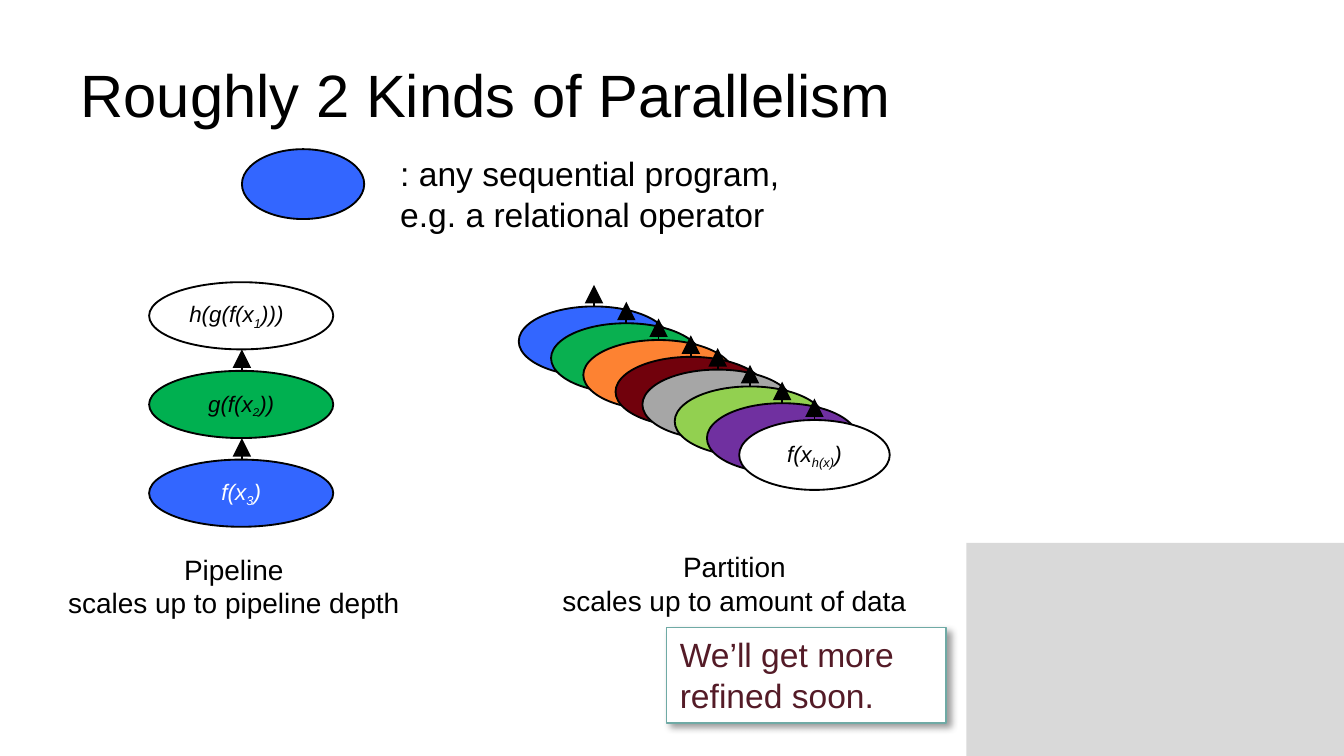
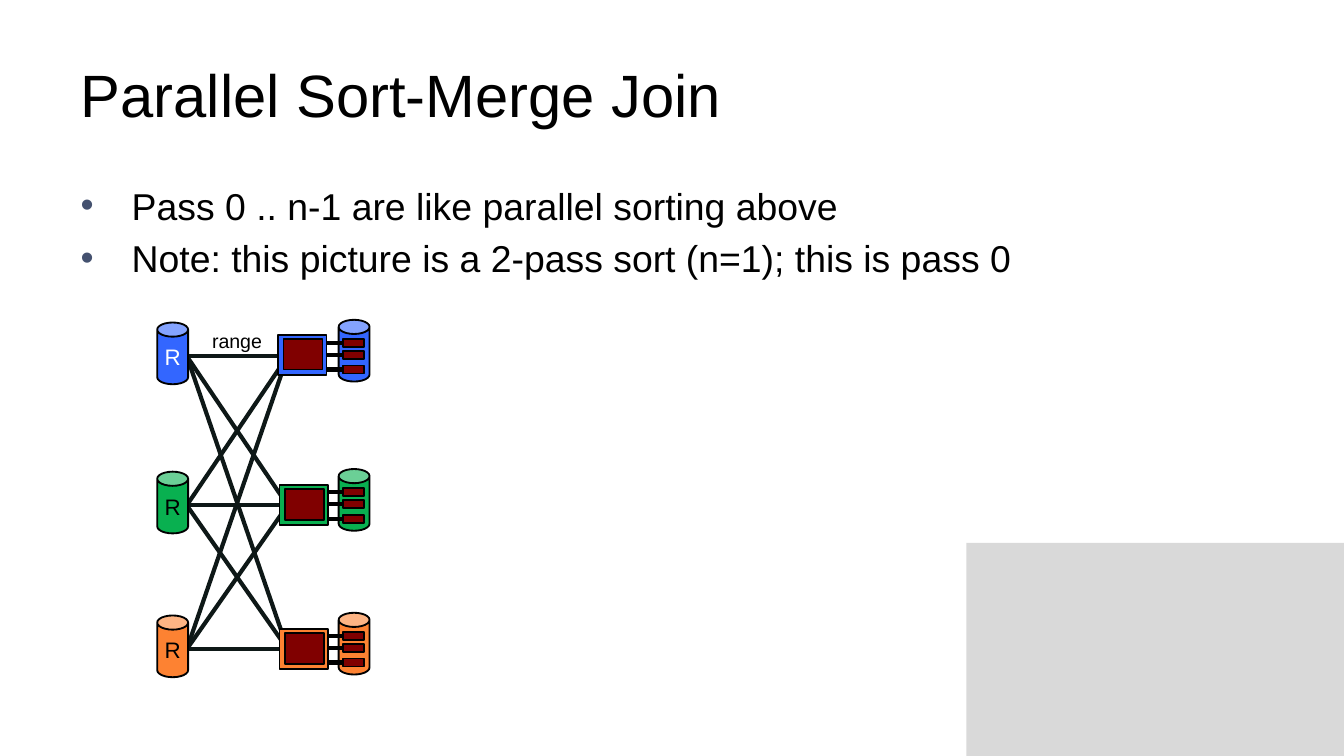
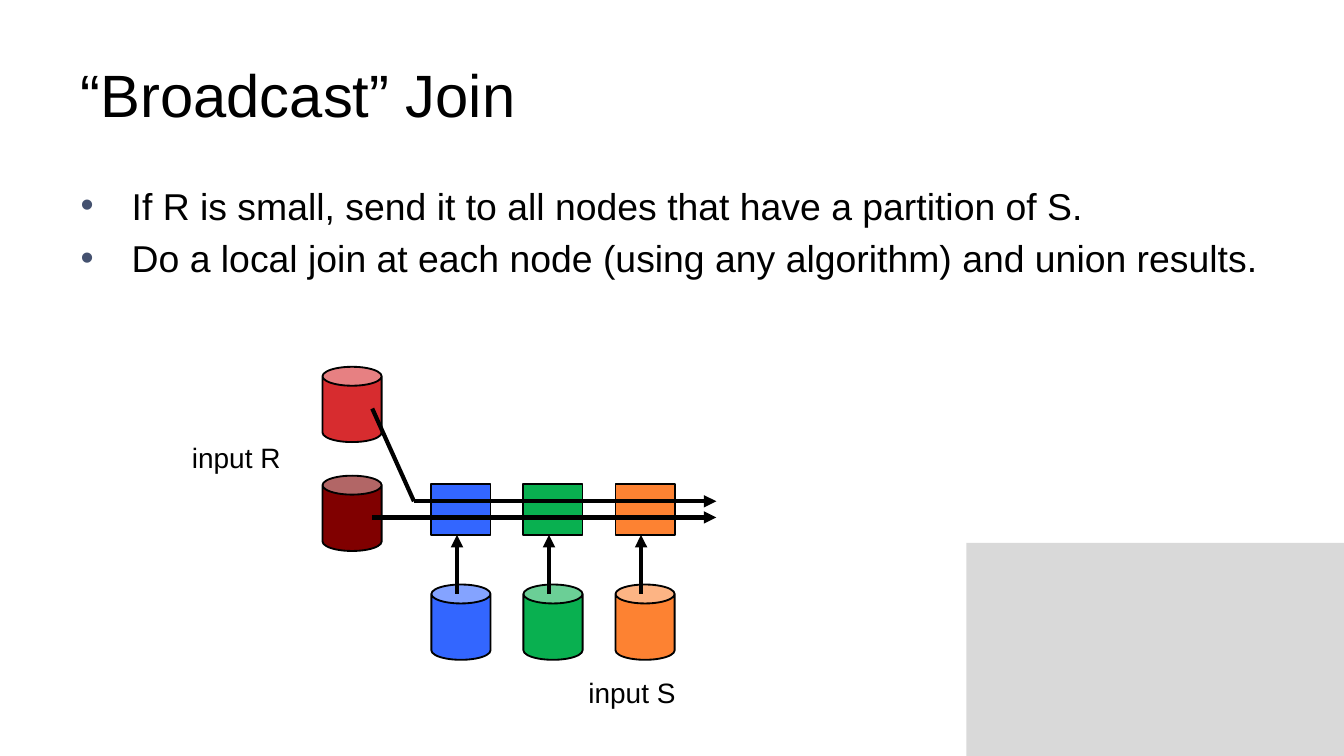
import dataclasses
import itertools
import typing

import lxml.etree
import pptx
import pptx.dml.color
import pptx.enum.shapes
import pptx.enum.text
import pptx.oxml.ns
import pptx.presentation
import pptx.shapes.autoshape
import pptx.shapes.shapetree
import pptx.slide
import pptx.text.text
import pptx.util

Inches = pptx.util.Inches
Pt = pptx.util.Pt
qn = pptx.oxml.ns.qn
SHAPE = pptx.enum.shapes.MSO_SHAPE
ALIGN = pptx.enum.text.PP_ALIGN
ANCHOR = pptx.enum.text.MSO_ANCHOR
AUTO_SIZE = pptx.enum.text.MSO_AUTO_SIZE
Canvas = typing.Union[
    pptx.shapes.shapetree.SlideShapes, pptx.shapes.shapetree.GroupShapes
]

FONT = "Arial"
BLACK = "000000"
WHITE = "FFFFFF"
BLUE = "3366FF"
GREEN = "09B050"
ORANGE = "FD8232"
MAROON = "800000"
BULLET_COLOR = "44516F"
NETWORK_COLOR = "0E1817"

TITLE_ONLY, TITLE_AND_BODY = 5, 1


@dataclasses.dataclass(frozen=True)
class Box:
    left: float
    top: float
    width: float
    height: float

    def lengths(self) -> list[pptx.util.Length]:
        return [Inches(value) for value in dataclasses.astuple(self)]


@dataclasses.dataclass(frozen=True)
class Run:
    text: str
    size: float
    color: str = BLACK
    italic: bool = False
    subscript: bool = False


@dataclasses.dataclass(frozen=True)
class Stage:
    top: float
    fill: str
    head: str
    index: str
    close: str
    index_size: float = 12
    color: str = BLACK
    align: ALIGN = ALIGN.CENTER


@dataclasses.dataclass(frozen=True)
class Node:
    wire: float
    fill: str
    label_color: str
    memory_left: float
    memory_top: float


STAGES = [
    Stage(2.76, "00B050", "g(f(x", "2", "))", index_size=10.5),
    Stage(2.1, WHITE, "h(g(f(x", "1", ")))", align=ALIGN.LEFT),
    Stage(3.42, BLUE, "f(x", "3", ")", color=WHITE),
]
PARTITION_ROWS = [
    (3.86, 2.28, [BLUE, GREEN, ORANGE, "71010C"]),
    (4.78, 2.75, ["A6A6A6", "92D050", "7030A0", WHITE]),
]
NODES = [
    Node(2.65, BLUE, WHITE, 2.07, 2.49),
    Node(3.76, GREEN, BLACK, 2.08, 3.61),
    Node(4.83, ORANGE, BLACK, 2.08, 4.68),
]


def rgb(color: str) -> pptx.dml.color.RGBColor:
    return pptx.dml.color.RGBColor.from_string(color)


def add_runs(paragraph: pptx.text.text._Paragraph, runs: list[Run]) -> None:
    for part in runs:
        if part.text == "\n":
            paragraph.add_line_break()
            continue
        run = paragraph.add_run()
        run.text = part.text
        run.font.name = FONT
        run.font.size = Pt(part.size)
        run.font.color.rgb = rgb(part.color)
        if part.italic:
            run.font.italic = True
        if part.subscript:
            run._r.get_or_add_rPr().set("baseline", "-25000")


def write(
    frame: pptx.text.text.TextFrame, paragraphs: list[list[Run]], align: ALIGN
) -> None:
    for position, runs in enumerate(paragraphs):
        paragraph = frame.add_paragraph() if position else frame.paragraphs[0]
        paragraph.alignment = align
        add_runs(paragraph, runs)


def add_solid(
    canvas: Canvas,
    kind: SHAPE,
    box: Box,
    fill: str,
    line: typing.Optional[str] = BLACK,
    line_width: float = 1,
) -> pptx.shapes.autoshape.Shape:
    solid = canvas.add_shape(kind, *box.lengths())
    solid.shadow.inherit = False
    solid.fill.solid()
    solid.fill.fore_color.rgb = rgb(fill)
    if line is None:
        solid.line.fill.background()
    else:
        solid.line.color.rgb = rgb(line)
        solid.line.width = Pt(line_width)
    return solid


def add_disk(
    canvas: Canvas, box: Box, fill: str, curve: float
) -> pptx.shapes.autoshape.Shape:
    disk = add_solid(canvas, SHAPE.CAN, box, fill)
    disk.adjustments[0] = curve
    return disk


def add_line(
    canvas: Canvas,
    start: tuple[float, float],
    end: tuple[float, float],
    width: float = 2.25,
    color: str = BLACK,
    arrow: typing.Optional[str] = None,
) -> None:
    connector = canvas.add_connector(
        pptx.enum.shapes.MSO_CONNECTOR.STRAIGHT,
        *(Inches(value) for value in (*start, *end)),
    )
    connector.line.color.rgb = rgb(color)
    connector.line.width = Pt(width)
    if arrow:
        lxml.etree.SubElement(
            connector.line._get_or_add_ln(),
            qn("a:tailEnd"),
            {"type": "triangle", "w": arrow, "len": arrow},
        )
    lxml.etree.SubElement(connector.element.spPr, qn("a:effectLst"))


def add_label(
    canvas: Canvas,
    box: Box,
    paragraphs: list[list[Run]],
    align: ALIGN = ALIGN.LEFT,
) -> None:
    label = canvas.add_textbox(*box.lengths())
    label.text_frame.word_wrap = False
    label.text_frame.auto_size = AUTO_SIZE.SHAPE_TO_FIT_TEXT
    write(label.text_frame, paragraphs, align)


def add_formula(
    oval: pptx.shapes.autoshape.Shape, runs: list[Run], align: ALIGN = ALIGN.CENTER
) -> None:
    oval.text_frame.vertical_anchor = ANCHOR.MIDDLE
    write(oval.text_frame, [runs], align)


def place(holder: pptx.shapes.autoshape.Shape, box: Box) -> None:
    holder.left, holder.top, holder.width, holder.height = box.lengths()
    holder.text_frame.auto_size = AUTO_SIZE.NONE


def add_slide(
    deck: pptx.presentation.Presentation, title: str, points: list[str]
) -> pptx.slide.Slide:
    slide = deck.slides.add_slide(
        deck.slide_layouts[TITLE_AND_BODY if points else TITLE_ONLY]
    )
    heading = slide.shapes.title
    place(heading, Box(0.5, 0.23, 9, 0.94))
    heading.text_frame.vertical_anchor = ANCHOR.MIDDLE
    write(heading.text_frame, [[Run(title, 32)]], ALIGN.LEFT)
    if points:
        body = slide.placeholders[1]
        place(body, Box(0.5, 1.31, 9, 3.71))
        write(body.text_frame, [[Run(point, 20)] for point in points], ALIGN.LEFT)
        for position, paragraph in enumerate(body.text_frame.paragraphs):
            add_bullet(paragraph)
            paragraph.space_before = Pt(4 if position else 0)
    return slide


def add_bullet(paragraph: pptx.text.text._Paragraph) -> None:
    properties = paragraph._p.get_or_add_pPr()
    properties.set("marL", str(Inches(0.38)))
    properties.set("indent", str(Inches(-0.38)))
    bullet_color = lxml.etree.SubElement(properties, qn("a:buClr"))
    lxml.etree.SubElement(bullet_color, qn("a:srgbClr"), {"val": BULLET_COLOR})
    lxml.etree.SubElement(properties, qn("a:buChar"), {"char": "•"})


def add_drop_shadow(card: pptx.shapes.autoshape.Shape) -> None:
    effects = card.element.spPr.find(qn("a:effectLst"))
    shadow = lxml.etree.SubElement(
        effects,
        qn("a:outerShdw"),
        {
            "blurRad": str(Pt(4)),
            "dist": str(Pt(3)),
            "dir": str(45 * 60000),
            "algn": "tl",
            "rotWithShape": "0",
        },
    )
    tint = lxml.etree.SubElement(shadow, qn("a:srgbClr"), {"val": BLACK})
    lxml.etree.SubElement(tint, qn("a:alpha"), {"val": "40000"})


def add_corner_panel(
    deck: pptx.presentation.Presentation, slide: pptx.slide.Slide
) -> None:
    panel = add_solid(
        slide.shapes, SHAPE.RECTANGLE, Box(7.19, 4.04, 2.81, 1.59), "D9D9D9", None
    )
    deck.slide_master.element.cSld.spTree.insert(2, panel.element)


def draw_pipeline(canvas: Canvas) -> None:
    add_label(
        canvas,
        Box(0.37, 4.06, 2.74, 0.61),
        [[Run("Pipeline", 15), Run("\n", 15), Run("scales up to pipeline depth", 15)]],
        ALIGN.CENTER,
    )
    for stage in STAGES:
        oval = add_solid(
            canvas, SHAPE.OVAL, Box(1.11, stage.top, 1.37, 0.5), stage.fill
        )
        formula = [
            Run(stage.head, 12, stage.color, True),
            Run(stage.index, stage.index_size, stage.color, True, True),
            Run(stage.close, 12, stage.color, True),
        ]
        add_formula(oval, formula, stage.align)
    for bottom in (3.42, 2.76):
        add_line(canvas, (1.8, bottom), (1.8, bottom - 0.16), 1, arrow="lg")


def draw_partitions(canvas: Canvas) -> None:
    for first_left, first_top, fills in PARTITION_ROWS:
        for step, fill in enumerate(fills):
            left = first_left + 0.24 * step
            top = first_top + step / 8
            oval = add_solid(canvas, SHAPE.OVAL, Box(left, top, 1.12, 0.52), fill)
            center = left + 0.56
            add_line(canvas, (center, top), (center, top - 0.16), 1, arrow="lg")
    add_formula(
        oval,
        [
            Run("f(x", 12, italic=True),
            Run("h(x)", 12, italic=True, subscript=True),
            Run(")", 12, italic=True),
        ],
    )


def build_parallelism(deck: pptx.presentation.Presentation) -> None:
    slide = add_slide(deck, "Roughly 2 Kinds of Parallelism", [])
    add_corner_panel(deck, slide)
    shapes = slide.shapes
    add_label(
        shapes,
        Box(4.05, 4.04, 2.83, 0.61),
        [[Run("Partition", 15)], [Run("scales up to amount of data", 15)]],
        ALIGN.CENTER,
    )
    add_solid(shapes, SHAPE.OVAL, Box(1.8, 1.11, 0.91, 0.52), BLUE)
    add_label(
        shapes,
        Box(2.88, 1.09, 3.06, 0.71),
        [
            [Run(": any sequential program,", 18)],
            [Run("e.g. a relational operator", 18)],
        ],
    )
    card = add_solid(
        shapes, SHAPE.RECTANGLE, Box(4.96, 4.67, 2.08, 0.71), WHITE, "6FAAA5", 0.75
    )
    add_drop_shadow(card)
    card.text_frame.word_wrap = True
    card.text_frame.vertical_anchor = ANCHOR.TOP
    remark = Run("We’ll get more refined soon.", 18, "541B27")
    write(card.text_frame, [[remark]], ALIGN.LEFT)
    draw_partitions(shapes.add_group_shape().shapes)
    draw_pipeline(shapes.add_group_shape().shapes)


def draw_node_disks(canvas: Canvas, node: Node) -> None:
    source = add_disk(
        canvas, Box(1.17, node.wire - 0.25, 0.23, 0.46), node.fill, 0.46
    )
    source.text_frame.word_wrap = False
    source.text_frame.vertical_anchor = ANCHOR.MIDDLE
    write(source.text_frame, [[Run("R", 12, node.label_color)]], ALIGN.CENTER)
    add_disk(canvas, Box(2.52, node.wire - 0.27, 0.23, 0.46), node.fill, 0.46)
    for offset in (-0.13, -0.04, 0.07):
        top = node.wire + offset
        add_solid(canvas, SHAPE.RECTANGLE, Box(2.55, top, 0.16, 0.06), MAROON)
        add_line(canvas, (2.39, top + 0.03), (2.55, top + 0.03))


def draw_node_memory(canvas: Canvas, node: Node) -> None:
    left, top = node.memory_left, node.memory_top
    add_solid(canvas, SHAPE.RECTANGLE, Box(left, top, 0.36, 0.3), node.fill)
    add_solid(
        canvas, SHAPE.RECTANGLE, Box(left + 0.04, top + 0.03, 0.29, 0.23), MAROON
    )


def build_sort_merge(deck: pptx.presentation.Presentation) -> None:
    slide = add_slide(
        deck,
        "Parallel Sort-Merge Join",
        [
            "Pass 0 .. n-1 are like parallel sorting above",
            "Note: this picture is a 2-pass sort (n=1); this is pass 0",
        ],
    )
    canvas = slide.shapes.add_group_shape().shapes
    for sender, receiver in itertools.product(NODES, repeat=2):
        add_line(
            canvas, (1.39, sender.wire), (2.14, receiver.wire), color=NETWORK_COLOR
        )
    for node in NODES:
        draw_node_disks(canvas, node)
    add_label(canvas, Box(1.48, 2.4, 0.58, 0.28), [[Run("range", 10.5)]])
    for node in NODES:
        draw_node_memory(canvas, node)


def build_broadcast(deck: pptx.presentation.Presentation) -> None:
    slide = add_slide(
        deck,
        "“Broadcast” Join",
        [
            "If R is small, send it to all nodes that have a partition of S.",
            "Do a local join at each node (using any algorithm) and union results.",
        ],
    )
    canvas = slide.shapes.add_group_shape().shapes
    add_label(canvas, Box(4.28, 4.98, 0.86, 0.35), [[Run("input S", 15)]])
    add_label(canvas, Box(1.33, 3.23, 0.87, 0.35), [[Run("input R", 15)]])
    for top, fill in ((2.73, "D72C2F"), (3.54, MAROON)):
        add_disk(canvas, Box(2.4, top, 0.44, 0.56), fill, 0.32)
    for column, node in enumerate(NODES):
        left = 3.21 + 1.37 * column / 2
        add_disk(canvas, Box(left, 4.35, 0.44, 0.56), node.fill, 0.32)
        add_solid(canvas, SHAPE.RECTANGLE, Box(left, 3.6, 0.44, 0.38), node.fill)
        add_line(canvas, (left + 0.19, 4.42), (left + 0.19, 3.98), arrow="med")
    add_line(canvas, (3.08, 3.73), (2.77, 3.04))
    add_line(canvas, (3.08, 3.73), (5.33, 3.73), arrow="med")
    add_line(canvas, (2.77, 3.85), (5.33, 3.85), arrow="med")


def main() -> None:
    deck = pptx.Presentation()
    deck.slide_width = Inches(10)
    deck.slide_height = Inches(10 * 9 / 16)
    build_parallelism(deck)
    build_sort_merge(deck)
    build_broadcast(deck)
    deck.save("out.pptx")


if __name__ == "__main__":
    main()
